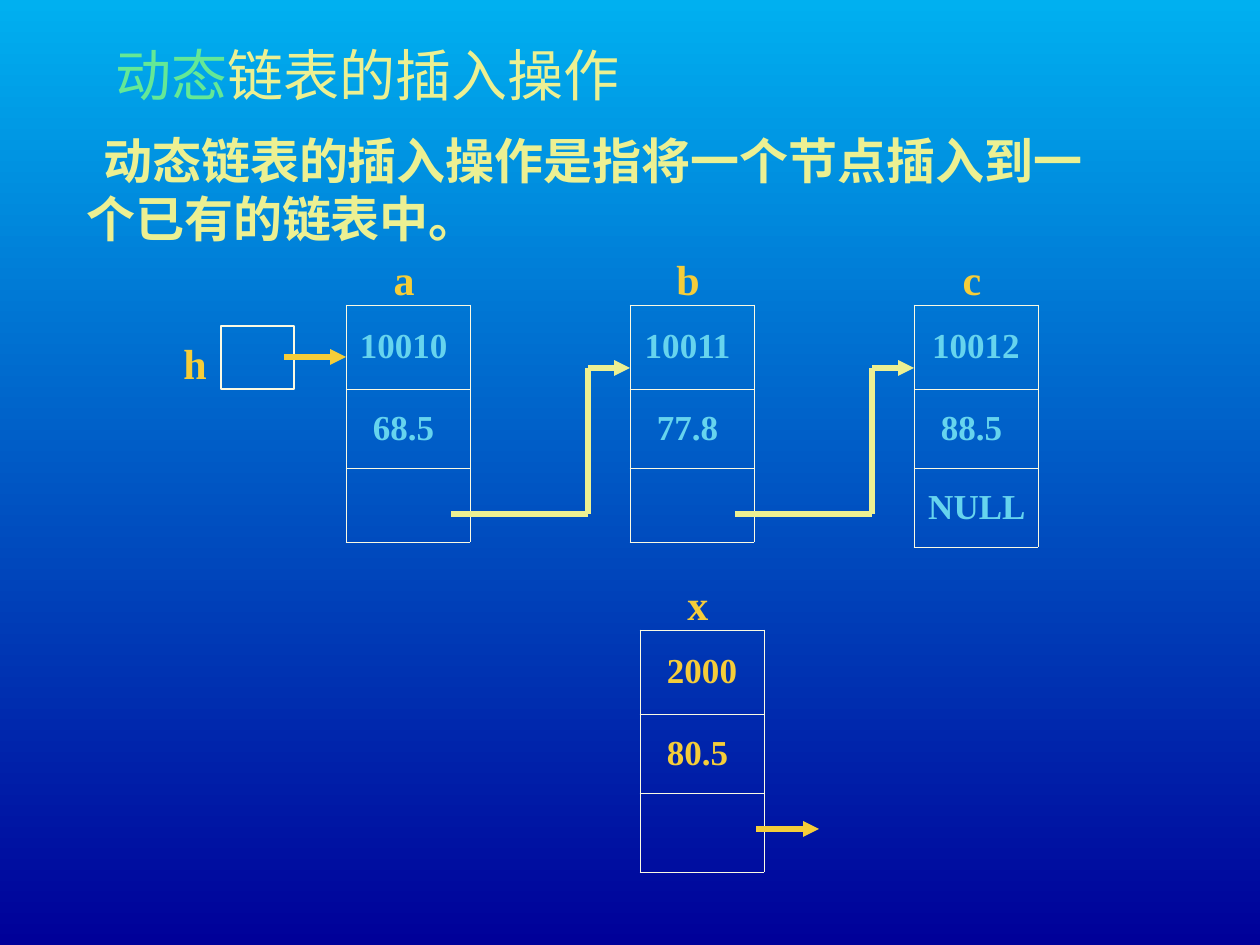
from dataclasses import dataclass

from lxml import etree
from pptx import Presentation
from pptx import util as u
from pptx.dml.color import RGBColor
from pptx.enum import shapes, text
from pptx.oxml.ns import qn


@dataclass(frozen=True)
class Theme:
    font: str = "Times New Roman"
    sky: str = "00B0F0"
    navy: str = "000099"
    green: str = "64E896"
    cream: str = "ECF092"
    cyan: str = "66D4EE"
    gold: str = "F5CD39"
    border: str = "FBFAE2"
    title: int = 32
    body: int = 28
    label: int = 24
    cell: int = 20
    arrow_line: float = 3
    box_line: float = 1
    cell_line: float = 0.45


THEME = Theme()
PX = u.Inches(1) / 126
NODE_WIDTH = 124
LABEL_SIZE = (32, 53)


def px(*lengths):
    return [u.Emu(round(length * PX)) for length in lengths]


def apply(target, values):
    for name, value in values.items():
        setattr(target, name, value)


def add_span(para, words, color, size, bold=False):
    span = para.add_run()
    span.text = words
    apply(span.font, {"name": THEME.font, "size": u.Pt(size), "bold": bold})
    span.font.color.rgb = RGBColor.from_string(color)


def format_frame(frame, wrap):
    apply(frame, {
        "word_wrap": wrap,
        "auto_size": text.MSO_AUTO_SIZE.NONE,
        "vertical_anchor": text.MSO_ANCHOR.MIDDLE,
    })
    return frame.paragraphs[0]


def set_background(page):
    fill = page.background.fill
    fill.gradient()
    fill.gradient_angle = 270
    for stop, color in zip(fill.gradient_stops, (THEME.sky, THEME.navy)):
        stop.color.rgb = RGBColor.from_string(color)


def set_title(page, spans):
    title = page.shapes.title
    apply(title, dict(zip(("left", "top", "width", "height"), px(53, 32, 630, 84))))
    para = format_frame(title.text_frame, False)
    para.alignment = text.PP_ALIGN.CENTER
    for words, color in spans:
        add_span(para, words, color, THEME.title)


def add_body(page, words):
    box = page.shapes.add_textbox(*px(74, 126, 1060, 126))
    para = format_frame(box.text_frame, True)
    para._p.get_or_add_pPr().set("indent", str(px(17)[0]))
    add_span(para, words, THEME.cream, THEME.body, True)


def add_label(page, left, top, words):
    box = page.shapes.add_textbox(*px(left, top, *LABEL_SIZE))
    para = format_frame(box.text_frame, False)
    para.alignment = text.PP_ALIGN.CENTER
    add_span(para, words, THEME.gold, THEME.label, True)


def set_borders(cell):
    properties = cell._tc.get_or_add_tcPr()
    for side in ("a:lnL", "a:lnR", "a:lnT", "a:lnB"):
        line = etree.SubElement(properties, qn(side), w=str(u.Pt(THEME.cell_line)))
        fill = etree.SubElement(line, qn("a:solidFill"))
        etree.SubElement(fill, qn("a:srgbClr"), val=THEME.border)


def add_node(page, left, top, name, values, heights, color):
    frame = page.shapes.add_table(
        len(heights), 1, *px(left, top, NODE_WIDTH, sum(heights)))
    table = frame.table
    apply(table, {"first_row": False, "horz_banding": False})
    for row, height, words in zip(table.rows, heights, values):
        row.height = px(height)[0]
        cell = row.cells[0]
        set_borders(cell)
        cell.fill.background()
        cell.vertical_anchor = text.MSO_ANCHOR.MIDDLE
        para = cell.text_frame.paragraphs[0]
        para.alignment = text.PP_ALIGN.CENTER
        if words:
            add_span(para, words, color, THEME.cell, True)
    add_label(page, left + 42, top - LABEL_SIZE[1], name)


def add_line(page, start, end, color, arrow=False):
    line = page.shapes.add_connector(
        shapes.MSO_CONNECTOR.STRAIGHT, *px(*start, *end))
    line.line.width = u.Pt(THEME.arrow_line)
    line.line.color.rgb = RGBColor.from_string(color)
    if arrow:
        etree.SubElement(line.line._get_or_add_ln(), qn("a:headEnd"), type="triangle")
    etree.SubElement(line._element.spPr, qn("a:effectLst"))


def add_link(page, node_left):
    tip, top, bottom = node_left, 368, 514
    bend, tail = tip - 42, tip - 179
    add_line(page, (tip, top), (bend, top), THEME.cream, True)
    add_line(page, (bend, bottom), (bend, top), THEME.cream)
    add_line(page, (bend, bottom), (tail, bottom), THEME.cream)


def add_head_pointer(page):
    box = page.shapes.add_shape(
        shapes.MSO_SHAPE.RECTANGLE, *px(221, 326, 73, 63))
    box.shadow.inherit = False
    box.fill.background()
    box.line.width = u.Pt(THEME.box_line)
    box.line.color.rgb = RGBColor.from_string(THEME.border)
    add_line(page, (346, 357), (284, 357), THEME.gold, True)
    add_label(page, 179, 336, "h")


def main():
    deck = Presentation()
    apply(deck, {"slide_width": u.Inches(10), "slide_height": u.Inches(7.5)})
    page = deck.slides.add_slide(deck.slide_layouts[5])
    set_background(page)
    set_title(page, [("动态", THEME.green), ("链表的插入操作", THEME.cream)])
    add_body(page, "动态链表的插入操作是指将一个节点插入到一个已有的链表中。")

    short, tall = (84, 79, 74), (84, 79, 79)
    chain = [
        ("a", ("10010 ", "68.5 ", ""), short),
        ("b", ("10011 ", "77.8 ", ""), short),
        ("c", ("10012", "88.5 ", "NULL "), tall),
    ]
    for index, (name, values, heights) in enumerate(chain):
        left = 346 + 284 * index
        add_node(page, left, 305, name, values, heights, THEME.cyan)
        if index:
            add_link(page, left)
    add_head_pointer(page)

    add_node(page, 640, 630, "x", ("2000", "80.5 ", ""), tall, THEME.gold)
    add_line(page, (819, 829), (756, 829), THEME.gold, True)
    deck.save("out.pptx")


if __name__ == "__main__":
    main()
